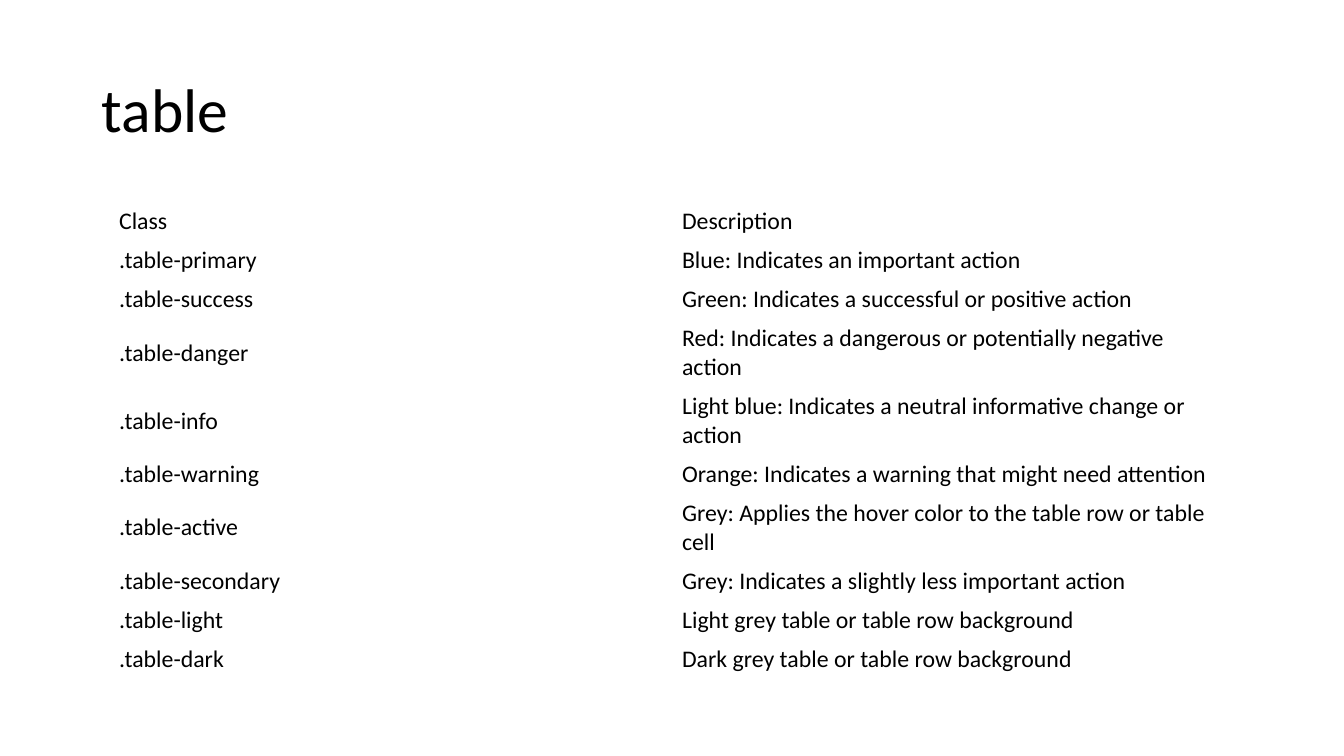
"""Build a slide that lists table classes and what they mean."""
from pptx import Presentation
from pptx.dml.color import RGBColor
from pptx.enum.text import MSO_ANCHOR as Anchor
from pptx.util import Pt

BLACK = RGBColor(0, 0, 0)
FONT = "Calibri"
SCALE = 914400 / 100.8


def px(n):
    return round(n * SCALE)


def write(frame, text, size=17, space=1.0):
    frame.word_wrap = True
    frame.vertical_anchor = Anchor.MIDDLE
    frame.margin_left = frame.margin_right = px(10)
    frame.margin_top = frame.margin_bottom = px(5)
    para = frame.paragraphs[0]
    para.line_spacing = space
    run = para.add_run()
    run.text = text
    run.font.name = FONT
    run.font.size = Pt(size)
    run.font.color.rgb = BLACK


deck = Presentation()
deck.slide_width, deck.slide_height = px(1344), px(756)
slide = deck.slides.add_slide(deck.slide_layouts[6])

title = slide.shapes.add_textbox(px(92), px(40), px(1159), px(146))
write(title.text_frame, "table", size=44, space=0.9)

ONE, TWO = 39, 68
ROWS = [
    ("Class", "Description", ONE),
    (".table-primary", "Blue: Indicates an important action", ONE),
    (".table-success", "Green: Indicates a successful or positive action", ONE),
    (".table-danger", "Red: Indicates a dangerous or potentially negative action", TWO),
    (".table-info", "Light blue: Indicates a neutral informative change or action", TWO),
    (".table-warning", "Orange: Indicates a warning that might need attention", ONE),
    (".table-active", "Grey: Applies the hover color to the table row or table cell", TWO),
    (".table-secondary", "Grey: Indicates a slightly less important action", ONE),
    (".table-light", "Light grey table or table row background", ONE),
    (".table-dark", "Dark grey table or table row background", ONE),
]
high = sum(row[2] for row in ROWS)
grid = slide.shapes.add_table(len(ROWS), 2, px(109), px(202), px(1126), px(high)).table
grid.first_row = grid.horz_banding = False
for line, (name, note, tall) in zip(grid.rows, ROWS):
    line.height = px(tall)
    for cell, text in zip(line.cells, (name, note)):
        cell.fill.background()
        cell.vertical_anchor = Anchor.MIDDLE
        write(cell.text_frame, text)

deck.save("out.pptx")
